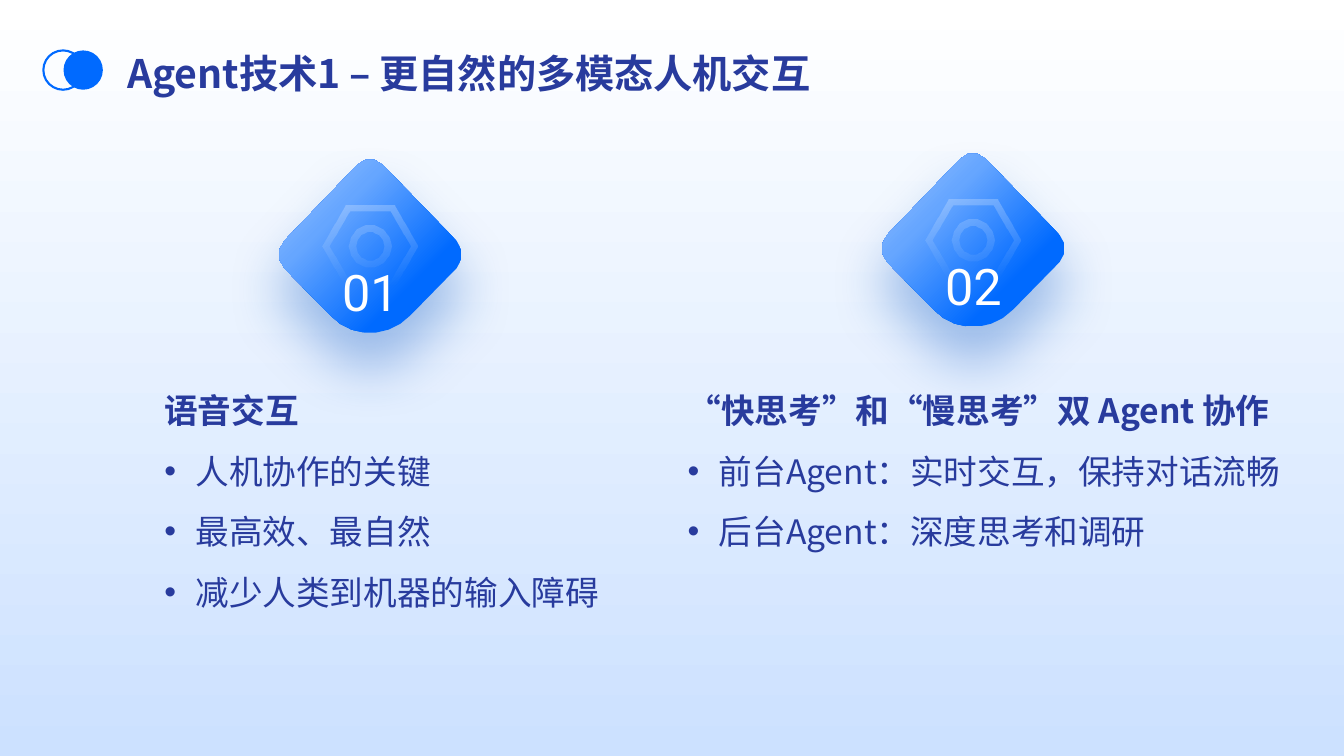
import math
from lxml import etree
from pptx import Presentation
from pptx.dml.color import RGBColor
from pptx.enum.shapes import MSO_SHAPE
from pptx.enum.text import MSO_ANCHOR, MSO_AUTO_SIZE, PP_ALIGN
from pptx.oxml.ns import qn
from pptx.util import Inches, Pt

RECT, OVAL = MSO_SHAPE.RECTANGLE, MSO_SHAPE.OVAL
TOP, MIDDLE = MSO_ANCHOR.TOP, MSO_ANCHOR.MIDDLE
NO_FIT = MSO_AUTO_SIZE.NONE
LEFT, CENTER = PP_ALIGN.LEFT, PP_ALIGN.CENTER

WHITE = RGBColor(0xFF, 0xFF, 0xFF)
PALE = RGBColor(0xCC, 0xE1, 0xFF)
NAVY = RGBColor(0x28, 0x3B, 0x9D)
BLUE = RGBColor(0x00, 0x6A, 0xFF)
MID_BLUE = RGBColor(0x66, 0xA6, 0xFF)
LIGHT_BLUE = RGBColor(0x99, 0xC3, 0xFF)
SHADOW = RGBColor(0x00, 0x4F, 0xBF)
CJK = "Noto Sans CJK SC"


def add_run(p, text, size, font, color, bold=False):
    r = p.add_run()
    r.text = text
    r.font.size, r.font.name, r.font.bold = Pt(size), font, bold
    r.font.color.rgb = color
    etree.SubElement(r._r.get_or_add_rPr(), qn("a:ea"), typeface=font)


def set_gradient(sp, stops, radial=False):
    sp.shadow.inherit = False
    sp.line.fill.background()
    sp.fill.background()
    grad = etree.Element(qn("a:gradFill"), rotWithShape="1")
    gs_list = etree.SubElement(grad, qn("a:gsLst"))
    for pos, color, alpha in stops:
        gs = etree.SubElement(gs_list, qn("a:gs"), pos=str(pos * 1000))
        clr = etree.SubElement(gs, qn("a:srgbClr"), val=str(color))
        if alpha < 100:
            etree.SubElement(clr, qn("a:alpha"), val=str(alpha * 1000))
    if radial:
        shade = etree.SubElement(grad, qn("a:path"), path="circle")
        etree.SubElement(shade, qn("a:fillToRect"), r="100000", b="100000")
    else:
        etree.SubElement(grad, qn("a:lin"), ang="5400000", scaled="0")
    spPr = sp.element.spPr
    spPr.replace(spPr.find(qn("a:noFill")), grad)


prs = Presentation()
prs.slide_width, prs.slide_height = Inches(13.33), Inches(7.5)
s = prs.slides.add_slide(prs.slide_layouts[3])
title, left_body, right_body = s.placeholders

bg = s.shapes.add_shape(RECT, 0, 0, prs.slide_width, prs.slide_height)
set_gradient(bg, [(0, WHITE, 100), (100, PALE, 100)])
title.element.addprevious(bg.element)

for sp, box, anchor in (
    (title, (1.26, 0.44, 10.92, 0.47), MIDDLE),
    (left_body, (1.63, 3.67, 4.74, 2.5), TOP),
    (right_body, (6.82, 3.67, 6, 2.03), TOP),
):
    sp.left, sp.top, sp.width, sp.height = [Inches(v) for v in box]
    tf = sp.text_frame
    tf.margin_left = tf.margin_top = tf.margin_right = tf.margin_bottom = 0
    tf.word_wrap, tf.auto_size, tf.vertical_anchor = True, NO_FIT, anchor

p = title.text_frame.paragraphs[0]
p.alignment, p.line_spacing = LEFT, 1.2
add_run(p, "Agent技术1 – 更自然的多模态人机交互", 28, CJK, NAVY, True)

for sp, lines in (
    (left_body, ["语音交互", "人机协作的关键", "最高效、最自然", "减少人类到机器的输入障碍"]),
    (right_body, ["“快思考”和“慢思考”双 Agent 协作",
                  "前台Agent：实时交互，保持对话流畅", "后台Agent：深度思考和调研"]),
):
    tf = sp.text_frame
    for i, line in enumerate(lines):
        p = tf.add_paragraph() if i else tf.paragraphs[0]
        p.line_spacing, p.space_before, p.space_after = 1.5, Pt(0), Pt(0)
        pPr = p._p.get_or_add_pPr()
        indent = Inches(0.31) if i else 0
        pPr.set("marL", str(indent))
        pPr.set("indent", str(-indent))
        if i:
            etree.SubElement(pPr, qn("a:buFont"), typeface="Arial")
            etree.SubElement(pPr, qn("a:buChar"), char="•")
        else:
            etree.SubElement(pPr, qn("a:buNone"))
        add_run(p, line, 24, CJK, NAVY, bold=not i)

ring, disc = [s.shapes.add_shape(OVAL, Inches(x), Inches(0.5), Inches(0.39), Inches(0.39))
              for x in (0.43, 0.63)]
ring.shadow.inherit = disc.shadow.inherit = False
ring.fill.background()
ring.line.color.rgb, ring.line.width = BLUE, Pt(1.5)
disc.fill.solid()
disc.fill.fore_color.rgb = BLUE
disc.line.fill.background()

corners = [
    (3, ((0.79, 0.08), (0.86, 0), (0.98, 0), (1.05, 0.08))),
    (3, ((1.78, 0.83), (1.85, 0.9), (1.85, 1.03), (1.78, 1.1))),
    (7, ((1.32, 1.57), (1.1, 1.8), (0.74, 1.8), (0.53, 1.57))),
    (3, ((0.07, 1.1), (0, 1.03), (0, 0.9), (0.07, 0.83))),
]
diamond = []
for steps, corner in corners:
    for k in range(steps + 1):
        t = k / steps
        weights = ((1 - t) ** 3, 3 * t * (1 - t) ** 2, 3 * t * t * (1 - t), t ** 3)
        diamond.append([sum(w * pt[axis] for w, pt in zip(weights, corner)) for axis in (0, 1)])

nut = [[(0.47, 0), (0.24, 0.4), (-0.24, 0.4), (-0.47, 0), (-0.24, -0.4), (0.24, -0.4)],
       [(0.4, 0), (0.2, 0.34), (-0.2, 0.34), (-0.4, 0), (-0.2, -0.34), (0.2, -0.34)]]
SIDES = 14
for radius in (0.21, 0.14):
    nut.append([(radius * math.cos(math.tau * k / SIDES), radius * math.sin(math.tau * k / SIDES))
                for k in range(SIDES)])
nut = [[(0.92 + x, 0.88 + y) for x, y in contour] for contour in nut]

for number, left, top in (("02", 8.73, 1.5), ("01", 2.75, 1.56)):
    badge = s.shapes.add_group_shape()
    outlines = []
    for contours in ([diamond], nut):
        builder = None
        for contour in contours:
            points = [(Inches(left + x), Inches(top + y)) for x, y in contour]
            if builder:
                builder.move_to(*points[0])
            else:
                builder = badge.shapes.build_freeform(*points[0])
            builder.add_line_segments(points[1:], close=True)
        outlines.append(builder.convert_to_shape())
    tile, icon = outlines
    set_gradient(tile, [(0, LIGHT_BLUE, 100), (31, MID_BLUE, 100), (73, BLUE, 100)], radial=True)
    set_gradient(icon, [(0, WHITE, 25), (100, WHITE, 0)])
    shadow = etree.SubElement(tile.element.spPr.find(qn("a:effectLst")), qn("a:outerShdw"),
                              blurRad=str(Pt(40)), dist=str(Pt(25)), dir="5400000",
                              algn="t", rotWithShape="0")
    clr = etree.SubElement(shadow, qn("a:srgbClr"), val=str(SHADOW))
    etree.SubElement(clr, qn("a:alpha"), val="35000")

    label = badge.shapes.add_textbox(Inches(left + 0.17), Inches(top + 0.86),
                                     Inches(1.51), Inches(0.73))
    icon.element.addprevious(label.element)
    label.text_frame.word_wrap = True
    p = label.text_frame.paragraphs[0]
    p.alignment, p.line_spacing = CENTER, 1.2
    add_run(p, number, 36, "Roboto", WHITE)

prs.save("out.pptx")
